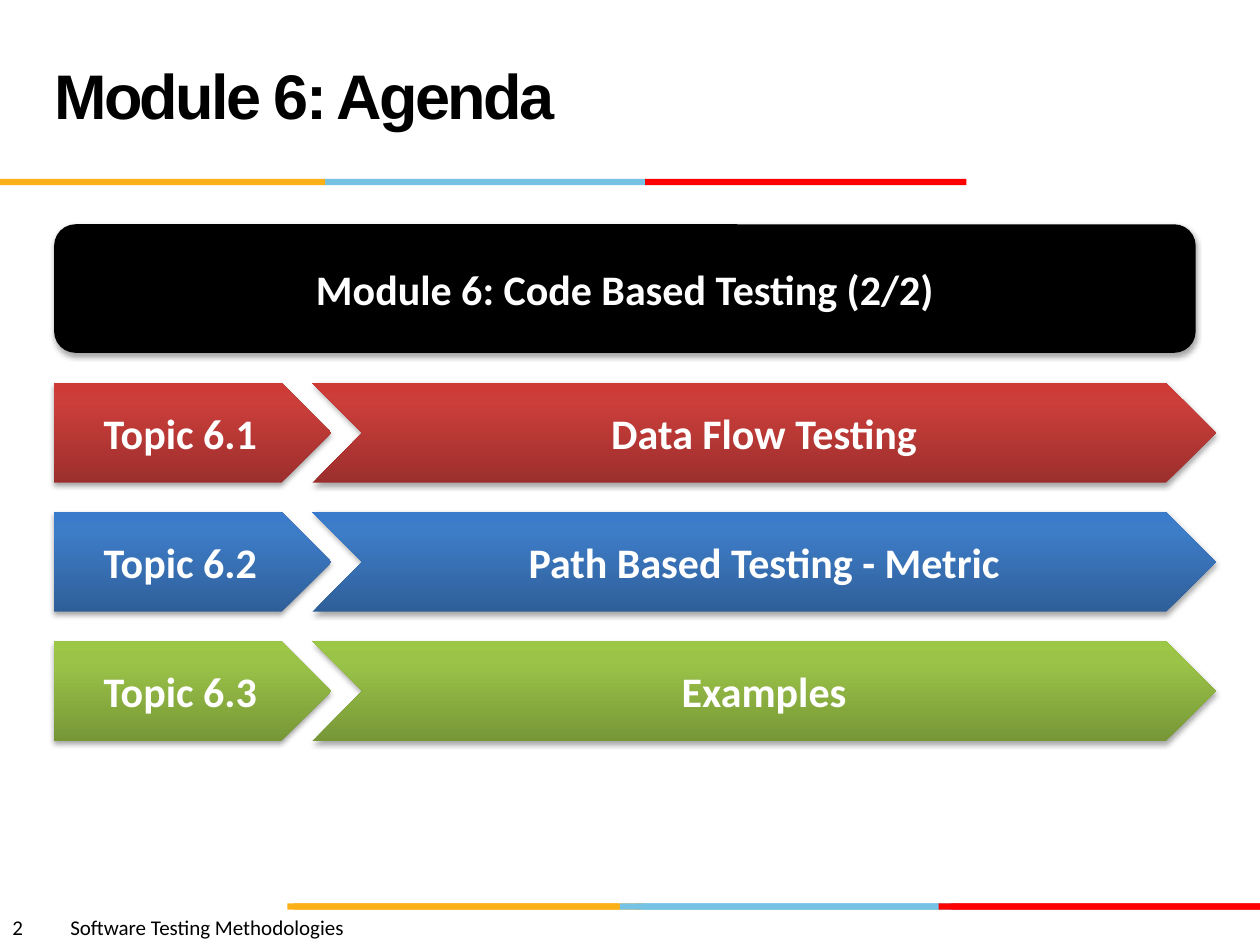
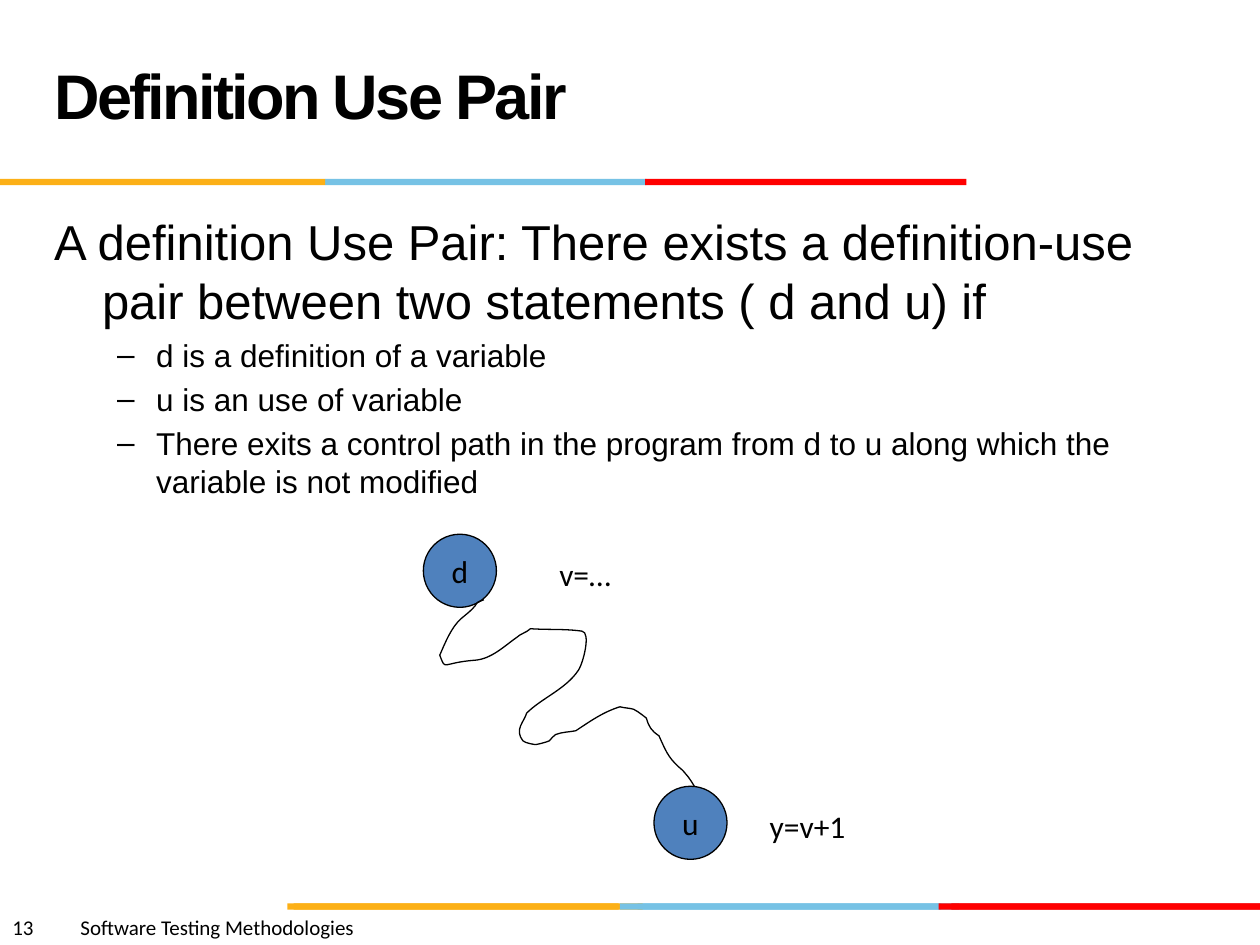
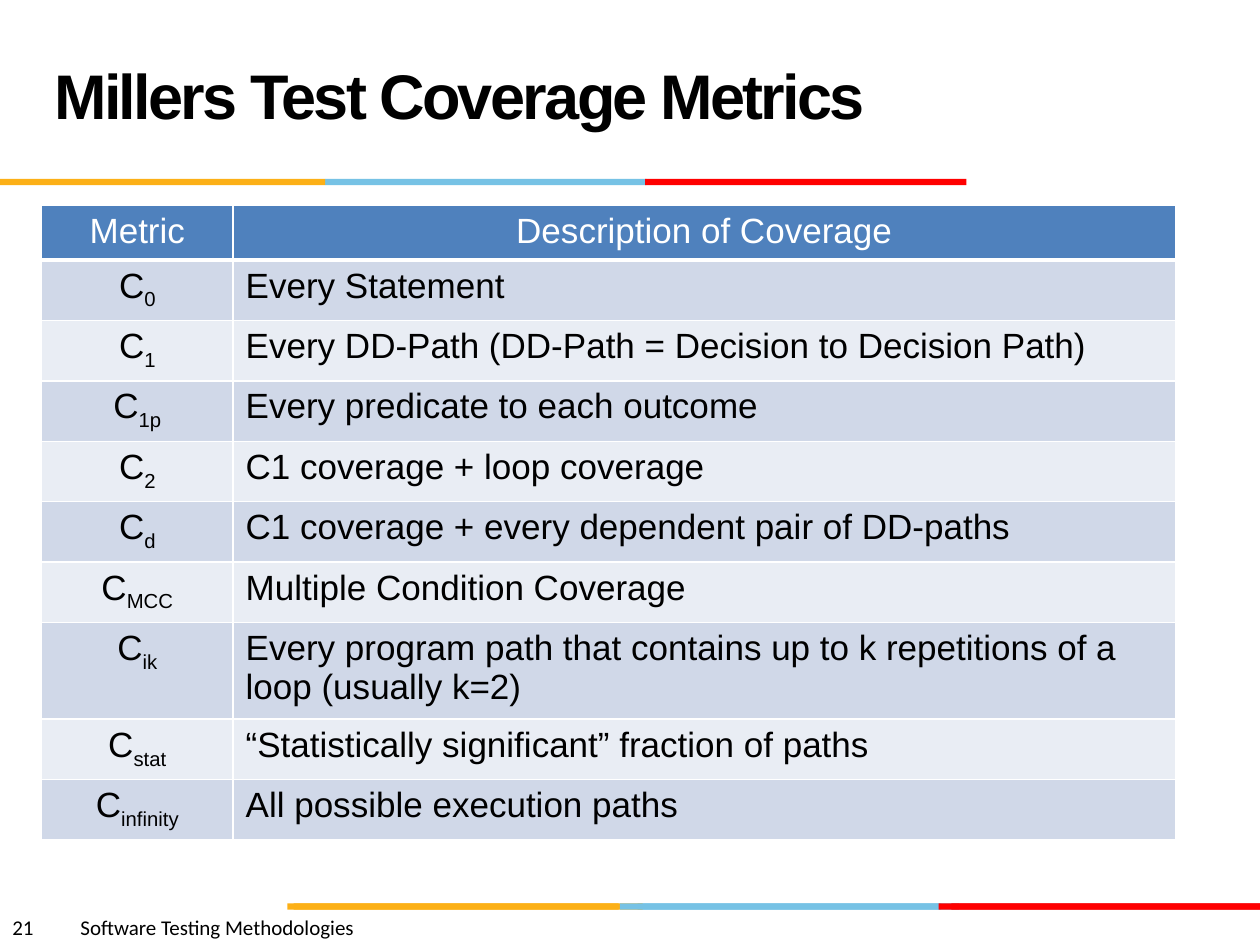
import pptx
import pptx.dml.color
import pptx.enum.shapes
import pptx.enum.text
import pptx.oxml.ns
import pptx.util
import lxml.etree

Inches = pptx.util.Inches
Pt = pptx.util.Pt
qn = pptx.oxml.ns.qn
SHAPE = pptx.enum.shapes.MSO_SHAPE
ALIGN = pptx.enum.text.PP_ALIGN
ANCHOR = pptx.enum.text.MSO_ANCHOR
AUTO_SIZE = pptx.enum.text.MSO_AUTO_SIZE

BLACK, WHITE, BLUE = "000000", "FFFFFF", "4F81BD"
ORANGE, SKY, RED, DARK_RED = "FCB017", "76C2E5", "FF0000", "E31C24"
ROW_FILLS = ("D0D8E8", "E9EDF4")
COURSE = "Software Testing Methodologies"
TITLE_LAYOUT, CONTENT_LAYOUT = 5, 1

BANDS = [
    (7.17, [(5.06, 2.55, SKY), (7.55, 2.45, DARK_RED), (2.28, 2.82, ORANGE)]),
    (7.17, [(4.92, 2.55, SKY), (2.33, 2.58, ORANGE), (7.45, 2.55, RED)]),
    (1.42, [(2.58, 2.55, SKY), (0, 2.58, ORANGE), (5.12, 2.55, RED)]),
]

TOPICS = [
    ("Topic 6.1", "Data Flow Testing", ("9C2F2D", "CB3E3A", "CE3B37")),
    ("Topic 6.2", "Path Based Testing - Metric", ("2F5F99", "3D7CC7", "3A7CCB")),
    ("Topic 6.3", "Examples", ("779737", "9BC348", "9DC746")),
]

PAIR_STATEMENT = ("A definition Use Pair: There exists a definition-use pair "
                  "between two statements ( d and u) if")
PAIR_CONDITIONS = [
    "d is a definition of a variable",
    "u is an use of variable",
    "There exits a control path in the program from d to u along which the "
    "variable is not modified",
]

PATH_START = (0.48, 0.52)
PATH_CURVES = [
    ((0.38, 0.56), (0.47, 0.52), (0.36, 0.62)),
    ((0.34, 0.64), (0.32, 0.65), (0.3, 0.67)),
    ((0.22, 0.74), (0.17, 0.87), (0.13, 0.96)),
    ((0.18, 1.09), (0.14, 1.02), (0.41, 1.0)),
    ((0.54, 0.99), (0.64, 0.89), (0.74, 0.82)),
    ((0.77, 0.79), (0.82, 0.78), (0.85, 0.75)),
    ((0.99, 0.76), (1.13, 0.75), (1.26, 0.77)),
    ((1.33, 0.78), (1.27, 1.02), (1.23, 1.08)),
    ((1.13, 1.23), (0.94, 1.3), (0.82, 1.42)),
    ((0.8, 1.49), (0.72, 1.55), (0.79, 1.64)),
    ((0.81, 1.66), (0.89, 1.67), (0.89, 1.67)),
    ((0.9, 1.67), (0.98, 1.65), (1.0, 1.64)),
    ((1.02, 1.62), (1.03, 1.6), (1.05, 1.59)),
    ((1.1, 1.57), (1.16, 1.57), (1.21, 1.56)),
    ((1.33, 1.48), (1.43, 1.41), (1.56, 1.37)),
    ((1.6, 1.38), (1.64, 1.38), (1.67, 1.39)),
    ((1.71, 1.41), (1.77, 1.46), (1.77, 1.46)),
    ((1.79, 1.53), (1.81, 1.56), (1.87, 1.6)),
    ((1.92, 1.71), (1.94, 1.77), (2.03, 1.85)),
    ((2.05, 1.87), (2.07, 1.88), (2.08, 1.9)),
    ((2.11, 1.93), (2.15, 2.0), (2.15, 2.0)),
]

METRICS = [
    ("0", "Every Statement"),
    ("1", "Every DD-Path (DD-Path = Decision to Decision Path)"),
    ("1p", "Every predicate to each outcome"),
    ("2", "C1 coverage + loop coverage"),
    ("d", "C1 coverage + every dependent pair of DD-paths"),
    ("MCC", "Multiple Condition Coverage"),
    ("ik", "Every program path that contains up to k repetitions of a loop (usually k=2)"),
    ("stat", "“Statistically significant” fraction of paths"),
    ("infinity", "All possible execution paths"),
]


def rgb(color):
    """Turn a hex string into a colour."""
    return pptx.dml.color.RGBColor.from_string(color)


def paint(fill, color):
    """Give a fill one solid colour."""
    fill.solid()
    fill.fore_color.rgb = rgb(color)


def add_xml(parent, tag, **attributes):
    """Append a child element with the given attributes."""
    child = lxml.etree.SubElement(parent, qn(tag))
    for name, value in attributes.items():
        child.set(name, str(value))
    return child


def write(paragraph, text, size=18, font="Calibri", color=BLACK, bold=False,
          align=None, spacing=None, baseline=None):
    """Add a formatted run of text to a paragraph."""
    if align is not None:
        paragraph.alignment = align
    run = paragraph.add_run()
    run.text = text
    run.font.size = Pt(size)
    run.font.name = font
    run.font.bold = bold
    run.font.color.rgb = rgb(color)
    properties = run._r.get_or_add_rPr()
    if spacing is not None:
        properties.set("spc", str(spacing))
    if baseline is not None:
        properties.set("baseline", str(baseline))


def add_box(slide, kind, box, color=None, outline=None):
    """Add a flat preset shape with an optional fill and outline."""
    shape = slide.shapes.add_shape(kind, *map(Inches, box))
    shape.shadow.inherit = False
    if color:
        paint(shape.fill, color)
    set_outline(shape, outline)
    return shape


def set_outline(shape, color):
    """Draw a thin outline, or none without a colour."""
    if color:
        shape.line.color.rgb = rgb(color)
        shape.line.width = Pt(0.75)
    else:
        shape.line.fill.background()


def add_label(slide, text, box):
    """Add a one-line text box."""
    frame = slide.shapes.add_textbox(*map(Inches, box)).text_frame
    frame.word_wrap = False
    write(frame.paragraphs[0], text)


def place(placeholder, box):
    """Move a placeholder and return its text frame."""
    placeholder.left, placeholder.top, placeholder.width, placeholder.height = map(Inches, box)
    frame = placeholder.text_frame
    frame.word_wrap = True
    frame.auto_size = AUTO_SIZE.NONE
    return frame


def add_master_bands(slide):
    """Draw the coloured bands and move them to the slide master."""
    master_tree = slide.slide_layout.slide_master.shapes.element
    for top, segments in BANDS:
        for left, width, color in segments:
            band = add_box(slide, SHAPE.RECTANGLE, (left, top, width, 0.05), color)
            band.element.nvSpPr.cNvPr.set("id", str(100 + len(master_tree)))
            master_tree.append(band.element)


def add_footer(slide, number, box):
    """Add the slide number and the course name after a tab."""
    frame = slide.shapes.add_textbox(*map(Inches, box)).text_frame
    frame.word_wrap = True
    paragraph = frame.paragraphs[0]
    tabs = add_xml(paragraph._p.get_or_add_pPr(), "a:tabLst")
    position = 0.38 + 0.08 * len(str(number))
    add_xml(tabs, "a:tab", pos=Inches(position), algn="l")
    write(paragraph, f"{number}\t{COURSE}", size=12)


def start_slide(presentation, layout, title, number):
    """Add a slide with its footer and title."""
    slide = presentation.slides.add_slide(presentation.slide_layouts[layout])
    add_footer(slide, number, (0, 7.21, 5, 0.3))
    frame = place(slide.shapes.title, (0.33, 0.17, 6.92, 1.25))
    frame.vertical_anchor = ANCHOR.MIDDLE
    paragraph = frame.paragraphs[0]
    paragraph.line_spacing = Pt(36)
    write(paragraph, title, size=36, font="Arial", bold=True, align=ALIGN.LEFT, spacing=-150)
    return slide


def add_banner(slide, kind, box, text, color=None, shades=None):
    """Add a shadowed shape with bold text on a solid or graded fill."""
    shape = add_box(slide, kind, box, color)
    properties = shape._element.spPr
    if shades:
        shape.fill.gradient()
        shape.fill.gradient_angle = 90
        stops = properties.find(".//" + qn("a:gsLst"))
        for stop in list(stops):
            stops.remove(stop)
        for position, shade in zip((0, 80000, 100000), shades):
            add_xml(add_xml(stops, "a:gs", pos=position), "a:srgbClr", val=shade)
    shadow = add_xml(properties.find(qn("a:effectLst")), "a:outerShdw", blurRad=Pt(3.1),
                     dist=Pt(1.8), dir=5400000, rotWithShape=0)
    add_xml(add_xml(shadow, "a:srgbClr", val=BLACK), "a:alpha", val=35000)
    frame = shape.text_frame
    frame.vertical_anchor = ANCHOR.MIDDLE
    write(frame.paragraphs[0], text, size=24, color=WHITE, bold=True, align=ALIGN.CENTER)


def add_agenda(slide, left, top):
    """Add a row of arrows for each topic and the module banner."""
    for index, (topic, subject, shades) in enumerate(TOPICS):
        row_top = top + 1.26 + index * 1.025
        add_banner(slide, SHAPE.PENTAGON, (left, row_top, 2.2, 0.79), topic, shades=shades)
        add_banner(slide, SHAPE.CHEVRON, (left + 2.05, row_top, 7.17, 0.79), subject, shades=shades)
    add_banner(slide, SHAPE.ROUNDED_RECTANGLE, (left, top, 9.06, 1.02),
               "Module 6: Code Based Testing (2/2)", color=BLACK)


def add_conditions(slide, box):
    """Fill the body with the statement and its dashed conditions."""
    frame = place(slide.placeholders[1], box)
    for index, text in enumerate([PAIR_STATEMENT] + PAIR_CONDITIONS):
        paragraph = frame.add_paragraph() if index else frame.paragraphs[0]
        paragraph.level = min(index, 1)
        margin, hanging, size = (0.81, 0.31, 18) if index else (0.38, 0.38, 28)
        if not index:
            paragraph.space_before = Pt(0)
        properties = paragraph._p.get_or_add_pPr()
        properties.set("marL", str(Inches(margin)))
        properties.set("indent", str(-Inches(hanging)))
        if index:
            add_xml(properties, "a:buChar", char="–")
        else:
            add_xml(properties, "a:buNone")
        write(paragraph, text, size=size, font="Arial")


def add_winding_path(slide, left, top):
    """Draw an open outline and bend its segments into cubic curves."""
    units = 1000
    ends = [PATH_START] + [curve[-1] for curve in PATH_CURVES]
    (start_x, start_y), *corners = [(x * units, y * units) for x, y in ends]
    builder = slide.shapes.build_freeform(start_x, start_y, scale=Inches(1) / units)
    builder.add_line_segments(corners, close=False)
    outline = builder.convert_to_shape(Inches(left), Inches(top))
    outline.shadow.inherit = False
    outline.fill.background()
    set_outline(outline, BLACK)
    origin_x, origin_y = (min(values) for values in zip(*ends))
    segments = list(outline._element.iter(qn("a:lnTo")))
    for segment, curve in zip(segments, PATH_CURVES):
        bend = lxml.etree.Element(qn("a:cubicBezTo"))
        for x, y in curve:
            add_xml(bend, "a:pt", x=round((x - origin_x) * units), y=round((y - origin_y) * units))
        segment.getparent().replace(segment, bend)


def add_pair_diagram(slide, left, top):
    """Draw the definition and use nodes joined by a winding path."""
    for name, x, y in (("d", 0, 0), ("u", 1.83, 2)):
        node = add_box(slide, SHAPE.OVAL, (left + x, top + y, 0.58, 0.58), BLUE, BLACK)
        node.text_frame.word_wrap = False
        node.text_frame.vertical_anchor = ANCHOR.MIDDLE
        write(node.text_frame.paragraphs[0], name, align=ALIGN.CENTER)
    add_label(slide, "v=…", (left + 0.98, top + 0.12, 0.72, 0.4))
    add_label(slide, "y=v+1", (left + 2.65, top + 2.12, 0.88, 0.4))
    add_winding_path(slide, left, top)


def format_cell(cell, color, top=1, bottom=1):
    """Fill a cell and give it white borders."""
    properties = cell._tc.get_or_add_tcPr()
    for side, width in (("L", 1), ("R", 1), ("T", top), ("B", bottom)):
        line = add_xml(properties, f"a:ln{side}", w=Pt(width))
        add_xml(add_xml(line, "a:solidFill"), "a:srgbClr", val=WHITE)
    paint(cell.fill, color)


def add_metrics(slide, left, top):
    """Add the table of coverage metrics."""
    row_height = 0.41
    count = len(METRICS) + 1
    table = slide.shapes.add_table(count, 2, Inches(left), Inches(top),
                                   Inches(9), Inches(row_height * count)).table
    table.horz_banding = False
    table.columns[0].width = Inches(1.52)
    table.columns[1].width = Inches(7.48)
    for column, heading in enumerate(("Metric", "Description of Coverage")):
        cell = table.cell(0, column)
        format_cell(cell, BLUE, bottom=3)
        write(cell.text_frame.paragraphs[0], heading, size=20, font="Arial",
              color=WHITE, align=ALIGN.CENTER)
    for row, (subscript, description) in enumerate(METRICS, 1):
        metric, coverage = table.cell(row, 0), table.cell(row, 1)
        for cell in (metric, coverage):
            format_cell(cell, ROW_FILLS[(row - 1) % 2], top=3 if row == 1 else 1)
        symbol = metric.text_frame.paragraphs[0]
        write(symbol, "C", size=20, font="Arial", align=ALIGN.CENTER)
        write(symbol, subscript, size=20, font="Arial", baseline=-25000)
        write(coverage.text_frame.paragraphs[0], description, size=20, font="Arial")


def main():
    """Build and save the presentation."""
    presentation = pptx.Presentation()
    presentation.slide_width = Inches(10)
    presentation.slide_height = Inches(7.5)

    agenda = start_slide(presentation, TITLE_LAYOUT, "Module 6: Agenda", 2)
    add_master_bands(agenda)
    add_agenda(agenda, 0.43, 1.78)

    pair = start_slide(presentation, CONTENT_LAYOUT, "Definition Use Pair", 13)
    add_conditions(pair, (0.33, 1.63, 9, 4.95))
    add_pair_diagram(pair, 3.36, 4.24)

    metrics = start_slide(presentation, TITLE_LAYOUT, "Millers Test Coverage Metrics", 21)
    add_metrics(metrics, 0.33, 1.63)

    presentation.save("out.pptx")


if __name__ == "__main__":
    main()
